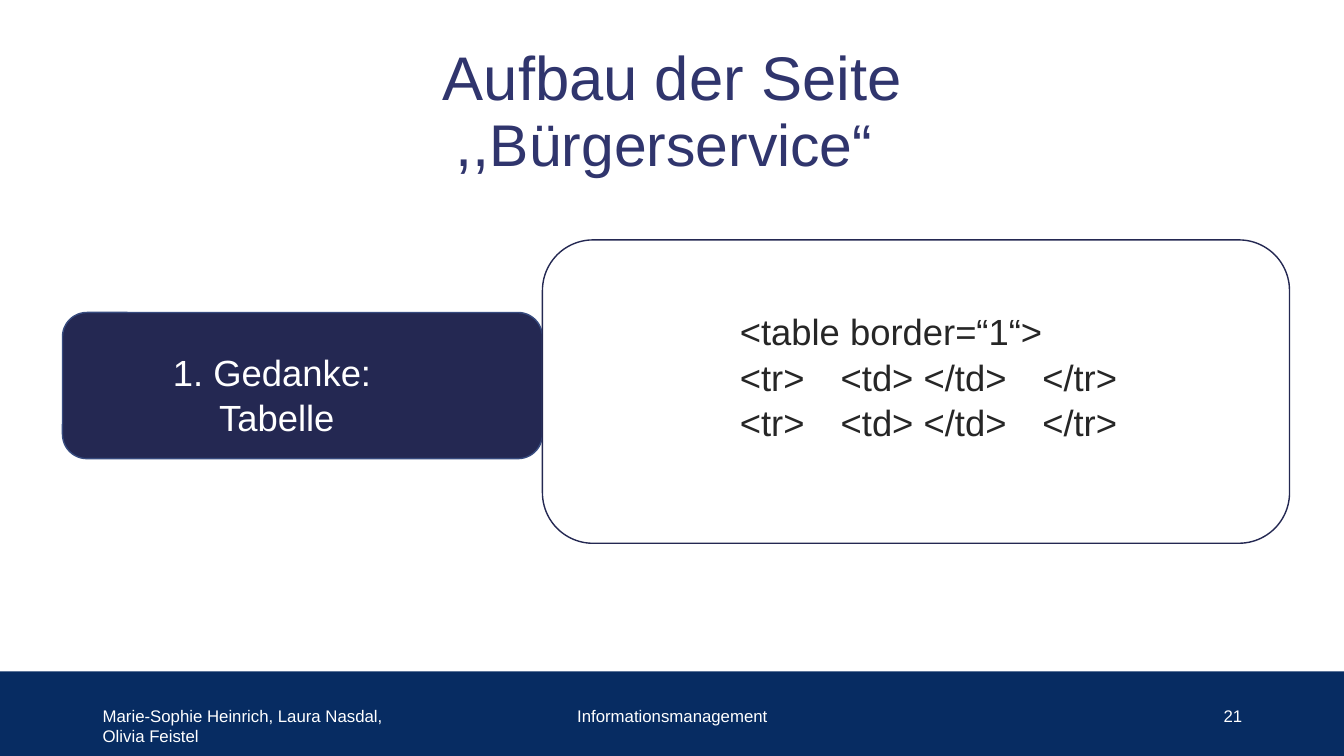
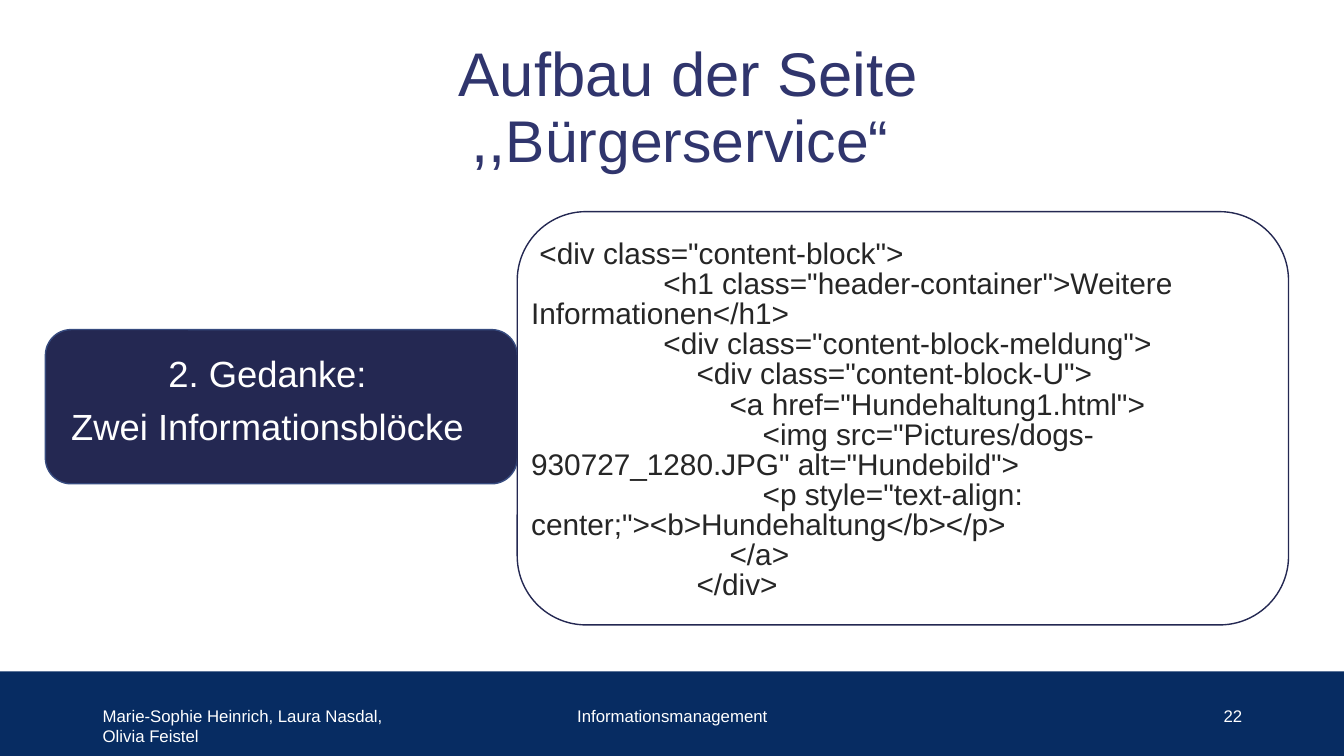
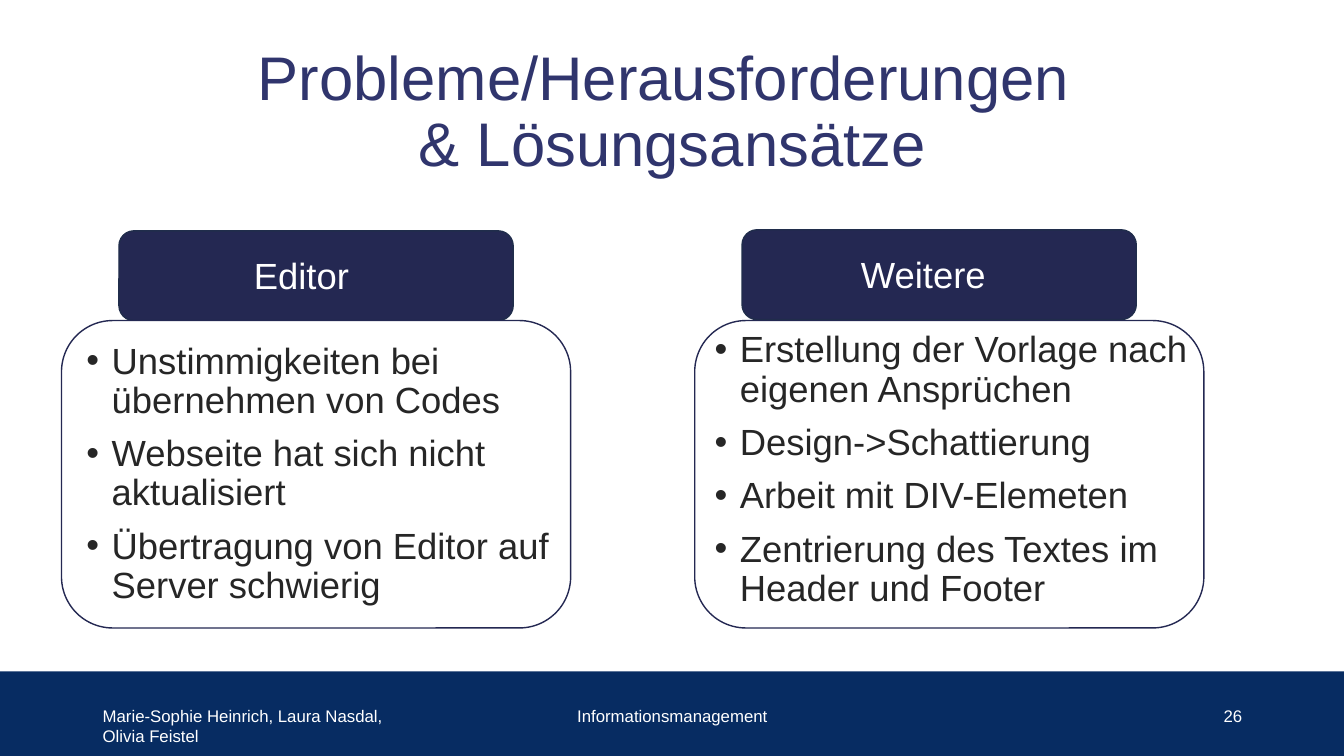
import pptx
import pptx.util
import pptx.dml.color
import pptx.enum.shapes
import pptx.enum.text
from lxml import etree

Inches, Pt = pptx.util.Inches, pptx.util.Pt
rgb = pptx.dml.color.RGBColor.from_string
ALIGN = pptx.enum.text.PP_ALIGN
ANCHOR = pptx.enum.text.MSO_ANCHOR
SHAPE = pptx.enum.shapes.MSO_SHAPE

FONT = "Arial"
BAND, NAVY, TITLE, BODY, WHITE = "072C62", "242852", "30356D", "262626", "FFFFFF"
AUTHORS = "Marie-Sophie Heinrich, Laura Nasdal, Olivia Feistel"


def add_box(s, kind, at, fill, line=None):
    sp = s.shapes.add_shape(kind, *map(Inches, at))
    sp.shadow.inherit = False
    sp.fill.solid()
    sp.fill.fore_color.rgb = rgb(fill)
    if line:
        sp.line.color.rgb = rgb(line)
        sp.line.width = Pt(1)
    else:
        sp.line.fill.background()


def add_text(sp, paras, size, color, align=ALIGN.LEFT, anchor=ANCHOR.TOP,
             spacing=1.0, before=0):
    """Fill a shape; each paragraph is a list of (text, size) runs or a string."""
    tf = sp.text_frame
    tf.word_wrap = True
    tf.auto_size = pptx.enum.text.MSO_AUTO_SIZE.NONE
    tf.vertical_anchor = anchor
    for i, runs in enumerate(paras):
        p = tf.add_paragraph() if i else tf.paragraphs[0]
        p.alignment, p.line_spacing, p.space_before = align, spacing, Pt(before)
        for text, run_size in [(runs, size)] if isinstance(runs, str) else runs:
            for j, part in enumerate(text.split("\n")):
                if j:
                    p.add_line_break()
                r = p.add_run()
                r.text = part
                r.font.name, r.font.size = FONT, Pt(run_size)
                r.font.color.rgb = rgb(color)
    return tf.paragraphs


prs = pptx.Presentation()
prs.slide_width, prs.slide_height = Inches(13.33), Inches(7.5)

# Shared title, band and footer
page_title = [[("Aufbau der Seite\n,,", 44), ("Bürgerservice“", 42), (" ", 44)]]
pages = [
    (21, 0.92, 0.4, page_title),
    (22, 1.08, 0.36, page_title),
    (26, 0.92, 0.4, ["Probleme/Herausforderungen ", "& Lösungsansätze"]),
]
slides = []
for number, left, top, title in pages:
    s = prs.slides.add_slide(prs.slide_layouts[5])
    sp = s.shapes.title
    sp.left, sp.top, sp.width, sp.height = map(Inches, (left, top, 11.5, 1.45))
    add_text(sp, title, 44, TITLE, ALIGN.CENTER, ANCHOR.MIDDLE, 0.9)
    add_box(s, SHAPE.RECTANGLE, (0, 6.66, 13.33, 0.84), BAND)
    for x, width, text, align in [
        (0.92, 3, AUTHORS, ALIGN.LEFT),
        (4.42, 4.5, "Informationsmanagement", ALIGN.CENTER),
        (9.42, 3, str(number), ALIGN.RIGHT),
    ]:
        sp = s.shapes.add_textbox(Inches(x), Inches(6.95), Inches(width), Inches(0.4))
        add_text(sp, [text], 12, WHITE, align)
    slides.append(s)

# Slides 21 and 22: label on the left, code panel on the right
ideas = [
    (slides[0], (0.62, 3.1, 4.76, 1.45), (5.38, 2.38, 7.41, 3.01),
     (-0.12, 3.49, 5.64, 0.9), ["1. Gedanke:", " Tabelle"], 0.7),
    (slides[1], (0.45, 3.27, 4.68, 1.53), (5.13, 2.1, 7.65, 4.1),
     (0.41, 3.81, 4.59, 0.69), ["2. Gedanke: ", "Zwei Informationsblöcke "], 0.9),
]
for s, label_at, panel_at, text_at, label, spacing in ideas:
    add_box(s, SHAPE.ROUNDED_RECTANGLE, label_at, NAVY, "374B7F")
    add_box(s, SHAPE.ROUNDED_RECTANGLE, panel_at, WHITE, NAVY)
    sp = s.shapes.add_textbox(*map(Inches, text_at))
    add_text(sp, label, 26, WHITE, ALIGN.CENTER, ANCHOR.BOTTOM, spacing, 10)

# Slide 21: table code
row = "<tr> \t<td> </td> \t</tr>"
sp = slides[0].shapes.add_textbox(*map(Inches, (6.26, 3, 5.22, 1.6)))
for p in add_text(sp, ["<table border=“1“>", row, row], 26, BODY, spacing=Pt(32.5)):
    p._p.get_or_add_pPr().set("marL", str(Inches(0.98)))

# Slide 22: div code, each line with its depth in characters
code = [
    (1, '<div class="content-block">'),
    (16, '<h1 class="header-container">Weitere Informationen</h1>'),
    (16, '<div class="content-block-meldung">'),
    (20, '<div class="content-block-U">'),
    (24, '<a href="Hundehaltung1.html">'),
    (28, '<img src="Pictures/dogs-\n930727_1280.JPG" alt="Hundebild">'),
    (28, '<p style="text-align:\ncenter;"><b>Hundehaltung</b></p>'),
    (24, "</a>"),
    (20, "</div>"),
]
sp = slides[1].shapes.add_textbox(*map(Inches, (5.17, 2.34, 7.6, 3.86)))
paras = add_text(sp, [text for depth, text in code], 21.3, BODY, spacing=0.84)
for p, (depth, text) in zip(paras, code):
    p._p.get_or_add_pPr().set("indent", str(Inches(0.082 * depth)))

# Slide 26: two headed bullet panels
s = slides[2]
columns = [
    (0.61, (1.18, 2.29), (2.42, 2.11), (0.76, 3.35), "Editor",
     ["Unstimmigkeiten bei übernehmen von Codes",
      "Webseite hat sich nicht aktualisiert",
      "Übertragung von Editor auf Server schwierig"]),
    (6.89, (7.36, 2.28), (8.44, 2.1), (6.99, 3.24), "Weitere",
     ["Erstellung der Vorlage nach eigenen Ansprüchen",
      "Design->Schattierung",
      "Arbeit mit DIV-Elemeten",
      "Zentrierung des Textes im Header und Footer"]),
]
for panel_x, head_at, head_text_at, list_at, head, bullets in columns:
    add_box(s, SHAPE.ROUNDED_RECTANGLE, (*head_at, 3.91, 0.89), NAVY, "202D4B")
    add_box(s, SHAPE.ROUNDED_RECTANGLE, (panel_x, 3.18, 5.05, 3.05), WHITE, NAVY)
    sp = s.shapes.add_textbox(*map(Inches, (*head_text_at, 2.8, 0.89)))
    add_text(sp, [head], 26, WHITE, anchor=ANCHOR.BOTTOM, spacing=0.9, before=10)
    sp = s.shapes.add_textbox(*map(Inches, (*list_at, 5.64, 3)))
    for p in add_text(sp, bullets, 26, BODY, spacing=0.9, before=10):
        pPr = p._p.get_or_add_pPr()
        pPr.set("marL", str(Inches(0.25)))
        pPr.set("indent", str(-Inches(0.25)))
        for tag, key, value in [("buFont", "typeface", FONT), ("buChar", "char", "•")]:
            etree.SubElement(pPr, pptx.oxml.ns.qn("a:" + tag)).set(key, value)

prs.save("out.pptx")
